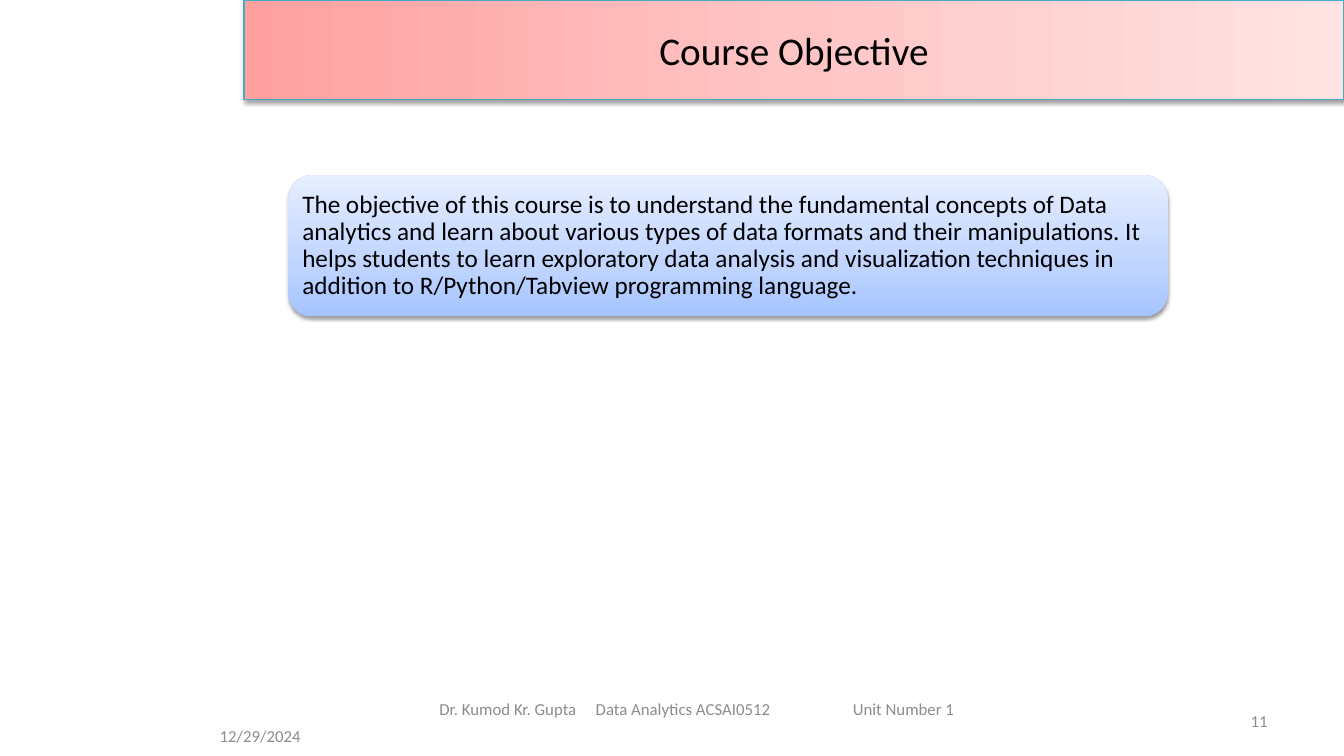
import pptx
import pptx.util
import pptx.oxml
import pptx.oxml.ns
import pptx.dml.color
import pptx.enum.shapes
import pptx.enum.text
from lxml import etree

Inches = pptx.util.Inches
Pt = pptx.util.Pt
qn = pptx.oxml.ns.qn
RGBColor = pptx.dml.color.RGBColor
MSO_SHAPE = pptx.enum.shapes.MSO_SHAPE
MSO_ANCHOR = pptx.enum.text.MSO_ANCHOR
PP_ALIGN = pptx.enum.text.PP_ALIGN

WIDTH, HEIGHT = 13.33, 7.5
FONT = "Calibri"
COLORS = {"text": "000000", "footer": "8C8C8C", "border": "46AAC5", "shadow": "000000"}
TITLE = "Course Objective"
OBJECTIVE = (
    "The objective of this course is to understand the fundamental concepts of Data "
    "analytics and learn about various types of data formats and their manipulations. "
    "It helps students to learn exploratory data analysis and visualization techniques "
    "in addition to R/Python/Tabview programming language."
)
TITLE_STOPS = [(0, "FFA0A0"), (50, "FFC5C5"), (100, "FFE3E3")]
CARD_STOPS = [(0, "A4C4FF"), (35, "BFD4FF"), (100, "E6EEFF")]
FOOTER_PARTS = ["Dr. Kumod Kr. Gupta", "Data Analytics ACSAI0512", "Unit Number 1"]
FOOTER_TABS = [1.55, 4.1]
FOOTER_HEIGHT = 0.4
FOOTERS = [
    ("12/29/2024", 2.08, 7.1, 2.33, PP_ALIGN.LEFT, []),
    ("11", 9.56, 6.95, 3.11, PP_ALIGN.RIGHT, []),
    ("\t".join(FOOTER_PARTS), 4.26, 6.83, 5.41, PP_ALIGN.LEFT, FOOTER_TABS),
]


def write(shape, text, size, color, align, tabs=()):
    frame = shape.text_frame
    frame.word_wrap = True
    frame.vertical_anchor = MSO_ANCHOR.MIDDLE
    paragraph = frame.paragraphs[0]
    paragraph.text = text
    paragraph.alignment = align
    if tabs:
        properties = paragraph._p.get_or_add_pPr()
        tab_list = etree.SubElement(properties, qn("a:tabLst"))
        for position in tabs:
            etree.SubElement(tab_list, qn("a:tab"), pos=str(Inches(position)), algn="l")
    for run in paragraph.runs:
        run.font.name = FONT
        run.font.size = Pt(size)
        run.font.color.rgb = RGBColor.from_string(COLORS[color])
    return paragraph


def add_panel(slide, kind, box, stops, angle):
    shape = slide.shapes.add_shape(kind, *map(Inches, box))
    shape.fill.gradient()
    shape.fill.gradient_angle = angle
    properties = shape._element.spPr
    stop_list = properties.find(qn("a:gradFill")).find(qn("a:gsLst"))
    for stop in list(stop_list):
        stop_list.remove(stop)
    for position, color in stops:
        stop = etree.SubElement(stop_list, qn("a:gs"), pos=str(position * 1000))
        etree.SubElement(stop, qn("a:srgbClr"), val=color)
    shape.line.fill.background()
    shape.shadow.inherit = False
    shadow = etree.SubElement(
        properties.find(qn("a:effectLst")), qn("a:outerShdw"),
        blurRad=str(Pt(3.1)), dist=str(Pt(1.6)), dir="5400000", rotWithShape="0",
    )
    color = etree.SubElement(shadow, qn("a:srgbClr"), val=COLORS["shadow"])
    etree.SubElement(color, qn("a:alpha"), val="38000")
    return shape


def main():
    presentation = pptx.Presentation()
    presentation.slide_width = Inches(WIDTH)
    presentation.slide_height = Inches(HEIGHT)
    slide = presentation.slides.add_slide(presentation.slide_layouts[6])

    title_left = 2.42
    title = add_panel(
        slide, MSO_SHAPE.RECTANGLE, (title_left, 0, WIDTH - title_left, 0.99), TITLE_STOPS, 0
    )
    title.line.color.rgb = RGBColor.from_string(COLORS["border"])
    title.line.width = Pt(0.75)
    write(title, TITLE, 28, "text", PP_ALIGN.CENTER)

    for text, left, top, width, align, tabs in FOOTERS:
        box = slide.shapes.add_textbox(*map(Inches, (left, top, width, FOOTER_HEIGHT)))
        write(box, text, 12, "footer", align, tabs)

    card = add_panel(
        slide, MSO_SHAPE.ROUNDED_RECTANGLE, (2.86, 1.74, 8.72, 1.4), CARD_STOPS, 90
    )
    frame = card.text_frame
    frame.margin_left = frame.margin_right = Inches(0.07)
    frame.margin_top = frame.margin_bottom = Inches(0.07)
    write(card, OBJECTIVE, 18, "text", PP_ALIGN.LEFT).line_spacing = 0.9

    presentation.save("out.pptx")


if __name__ == "__main__":
    main()
